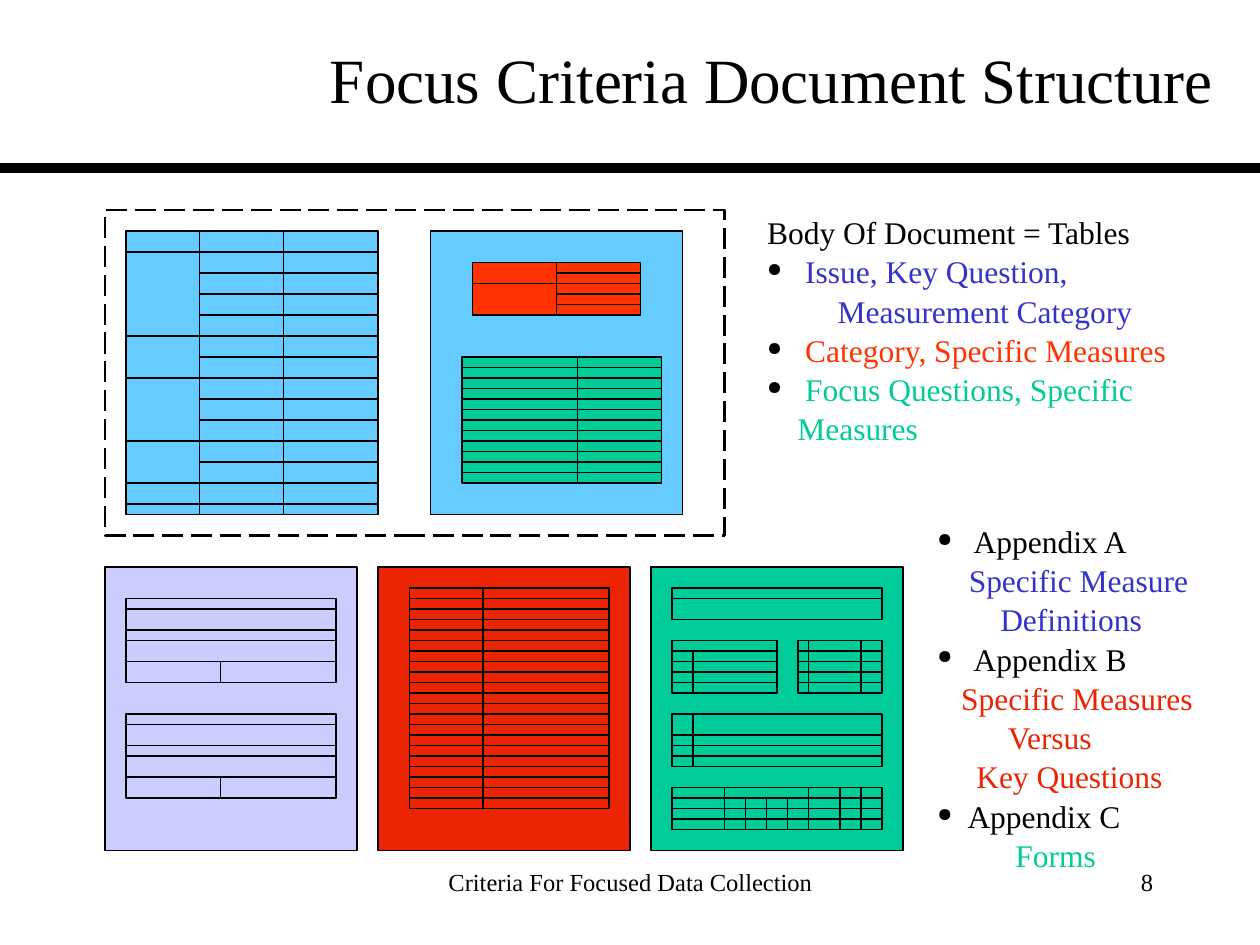
from lxml.etree import SubElement
from pptx import Presentation
from pptx.dml.color import RGBColor
from pptx.enum.dml import MSO_LINE
from pptx.enum.shapes import MSO_CONNECTOR, MSO_SHAPE
from pptx.enum.text import MSO_ANCHOR, MSO_AUTO_SIZE, PP_ALIGN
from pptx.oxml.ns import qn
from pptx.util import Inches, Pt

BLACK = RGBColor(0x00, 0x00, 0x00)
SKY = RGBColor(0x66, 0xCC, 0xFF)
LAVENDER = RGBColor(0xCC, 0xCC, 0xFF)
RED = RGBColor(0xED, 0x24, 0x03)
ORANGE = RGBColor(0xFF, 0x33, 0x00)
GREEN = RGBColor(0x00, 0xCC, 0x99)
BLUE = RGBColor(0x33, 0x33, 0xCC)

FONT = "Times New Roman"
BULLET_INDENT = 0.24
PAGE_WIDTH, PAGE_HEIGHT = 24, 27
TOP, LEFT, BOTTOM, RIGHT = range(4)


def grid(cells):
    """Length of a number of grid cells, twelve to the inch."""
    return Inches(cells / 12)


def add_line(slide, start, end, width=0.75):
    line = slide.shapes.add_connector(
        MSO_CONNECTOR.STRAIGHT, *map(grid, start), *map(grid, end))
    line.line.color.rgb = BLACK
    line.line.width = Pt(width)
    SubElement(line._element.spPr, qn("a:effectLst"))
    return line


def add_box(slide, left, top, width, height, fill=None, line_width=0.75):
    box = slide.shapes.add_shape(
        MSO_SHAPE.RECTANGLE, grid(left), grid(top), grid(width), grid(height))
    box.shadow.inherit = False
    if fill is None:
        box.fill.background()
    else:
        box.fill.solid()
        box.fill.fore_color.rgb = fill
    box.line.color.rgb = BLACK
    box.line.width = Pt(line_width)
    return box


def add_ruled_box(slide, fill, left, top, width, height, rows=(), columns=(),
                  short_rows=(), row_start=None, short_columns=(), column_start=None):
    """Box with rules; short rules begin at row_start or column_start."""
    box = add_box(slide, left, top, width, height, fill)
    right, bottom = left + width, top + height
    for start, positions in ((left, rows), (row_start, short_rows)):
        for y in positions:
            line = add_line(slide, (start, y), (right, y))
            if y == top + height / 2:
                if start == left:
                    line.begin_connect(box, LEFT)
                line.end_connect(box, RIGHT)
    for start, positions in ((top, columns), (column_start, short_columns)):
        for x in positions:
            line = add_line(slide, (x, start), (x, bottom))
            if x == left + width / 2:
                if start == top:
                    line.begin_connect(box, TOP)
                line.end_connect(box, BOTTOM)


def add_bullet(paragraph):
    properties = paragraph._p.get_or_add_pPr()
    properties.set("marL", str(Inches(BULLET_INDENT)))
    properties.set("indent", str(-Inches(BULLET_INDENT)))
    color = SubElement(properties, qn("a:buClr"))
    SubElement(color, qn("a:srgbClr"), val=str(BLACK))
    SubElement(properties, qn("a:buSzPct"), val="60000")
    SubElement(properties, qn("a:buChar"), char="●")


def format_text(paragraph, text, size=18, color=BLACK, align=PP_ALIGN.LEFT,
                bullet=False, indent=0, spacing=None):
    if bullet:
        add_bullet(paragraph)
    elif indent:
        paragraph._p.get_or_add_pPr().set("marL", str(Inches(indent)))
    paragraph.alignment = align
    if spacing:
        paragraph.line_spacing = spacing
    run = paragraph.add_run()
    run.text = text
    run.font.name = FONT
    run.font.size = Pt(size)
    run.font.color.rgb = color


def add_text(slide, left, top, width, height, lines, **common):
    """Text box of (text, format) lines; common format applies to all."""
    frame = slide.shapes.add_textbox(*map(Inches, (left, top, width, height))).text_frame
    frame.word_wrap = True
    for index, (text, own) in enumerate(lines):
        paragraph = frame.add_paragraph() if index else frame.paragraphs[0]
        format_text(paragraph, text, **common, **own)


def add_title(slide, text):
    title = slide.shapes.title
    title.left, title.top, title.width, title.height = map(Inches, (2.5, 0, 7.25, 1.25))
    frame = title.text_frame
    frame.auto_size = MSO_AUTO_SIZE.NONE
    frame.vertical_anchor = MSO_ANCHOR.MIDDLE
    format_text(frame.paragraphs[0], text, size=36, align=PP_ALIGN.CENTER)
    add_line(slide, (0, 16), (120, 16), width=6)


def add_body_pages(slide):
    add_ruled_box(slide, SKY, 12, 22, PAGE_WIDTH, PAGE_HEIGHT,
                  rows=(24, 32, 36, 42, 46, 48), columns=(19, 27),
                  short_rows=(26, 28, 30, 34, 38, 40, 44), row_start=19)
    add_box(slide, 41, 22, PAGE_WIDTH, PAGE_HEIGHT, SKY)
    add_ruled_box(slide, ORANGE, 45, 25, 16, 5, rows=(27,), columns=(53,),
                  short_rows=(26, 28, 29), row_start=53)
    add_ruled_box(slide, GREEN, 44, 34, 19, 12, rows=range(35, 46), columns=(55,))
    frame = add_box(slide, 10, 20, 59, 31, line_width=1.5)
    frame.line.dash_style = MSO_LINE.LONG_DASH


def add_appendix_pages(slide):
    for index, fill in enumerate((LAVENDER, RED, GREEN)):
        add_box(slide, 10 + 26 * index, 54, PAGE_WIDTH, PAGE_HEIGHT, fill)
    for top in (57, 68):
        add_ruled_box(slide, LAVENDER, 12, top, 20, 8,
                      rows=[top + step for step in (1, 3, 4, 6)],
                      short_columns=(21,), column_start=top + 6)
    for top, last in ((56, 66), (65, 77)):
        add_ruled_box(slide, RED, 39, top, 19, 12, rows=range(top + 1, last), columns=(46,))
    add_ruled_box(slide, GREEN, 64, 56, 20, 3, rows=(57,))
    add_ruled_box(slide, GREEN, 64, 61, 10, 5, rows=range(62, 66),
                  short_columns=(66,), column_start=62)
    add_ruled_box(slide, GREEN, 76, 61, 8, 5, rows=range(62, 66), columns=(77, 82))
    add_ruled_box(slide, GREEN, 64, 68, 20, 5, rows=range(70, 73), columns=(66,))
    add_ruled_box(slide, GREEN, 64, 75, 20, 4, rows=range(76, 79), columns=(69, 77, 80, 82),
                  short_columns=(71, 73, 75), column_start=76)


def main():
    presentation = Presentation()
    presentation.slide_width, presentation.slide_height = Inches(10), Inches(7.5)
    slide = presentation.slides.add_slide(presentation.slide_layouts[5])
    add_title(slide, "Focus Criteria Document Structure")
    add_body_pages(slide)
    add_appendix_pages(slide)
    add_text(slide, 5.99, 1.63, 4, 1.6, [
        ("Body Of Document = Tables", {}),
        (" Issue, Key Question,", {"color": BLUE, "bullet": True}),
        ("Measurement Category", {"color": BLUE, "indent": 0.56}),
        (" Category, Specific Measures", {"color": ORANGE, "bullet": True}),
        (" Focus Questions, Specific Measures", {"color": GREEN, "bullet": True}),
    ], spacing=1.04)
    add_text(slide, 7.34, 4.08, 2.29, 2.8, [
        (" Appendix A", {"bullet": True}),
        ("Specific Measure", {"color": BLUE, "indent": 0.25}),
        ("Definitions", {"color": BLUE, "indent": 0.5}),
        (" Appendix B", {"bullet": True}),
        ("Specific Measures", {"color": RED, "indent": 0.19}),
        ("Versus", {"color": RED, "indent": 0.56}),
        ("Key Questions", {"color": RED, "indent": 0.31}),
        ("Appendix C", {"bullet": True}),
        ("Forms", {"color": GREEN, "indent": 0.62}),
    ], spacing=1.04)
    add_text(slide, 3.42, 6.83, 3.17, 0.5, [("Criteria For Focused Data Collection", {})],
             size=14, align=PP_ALIGN.CENTER)
    add_text(slide, 7.17, 6.83, 2.08, 0.5, [("8", {})], size=14, align=PP_ALIGN.RIGHT)
    presentation.save("out.pptx")


if __name__ == "__main__":
    main()
